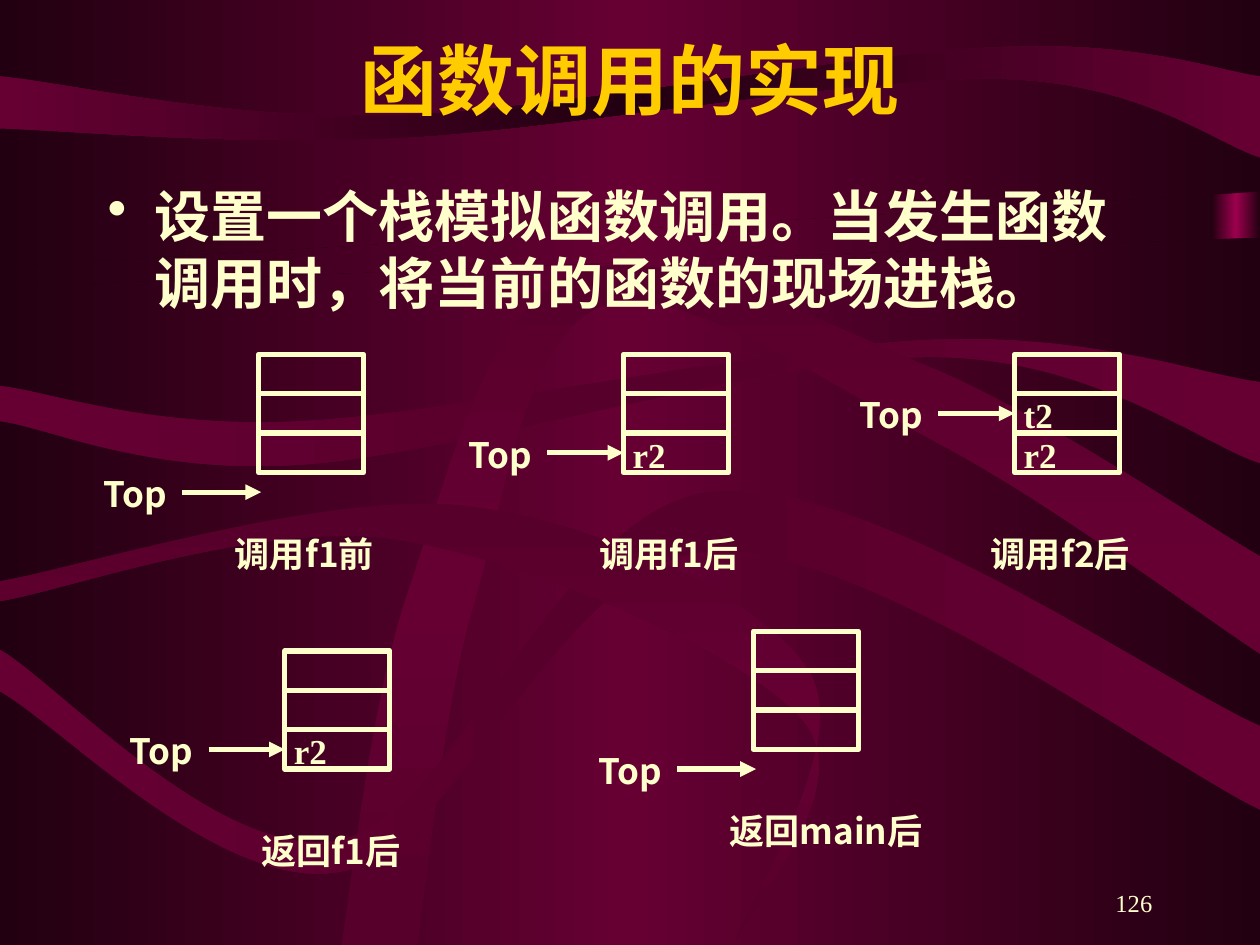
from copy import deepcopy

from lxml import etree
from pptx import Presentation
from pptx.dml.color import RGBColor
from pptx.enum.shapes import MSO_CONNECTOR, MSO_SHAPE
from pptx.enum.text import MSO_ANCHOR, PP_ALIGN
from pptx.oxml.ns import qn
from pptx.util import Pt

RECT, LINE = MSO_SHAPE.RECTANGLE, MSO_CONNECTOR.STRAIGHT
TOP, MID, LOW = MSO_ANCHOR.TOP, MSO_ANCHOR.MIDDLE, MSO_ANCHOR.BOTTOM
LEFT, MIDDLE, RIGHT = PP_ALIGN.LEFT, PP_ALIGN.CENTER, PP_ALIGN.RIGHT
PX = 9525  # 96 px to the inch
WIDE, HIGH = 960, 720

THEME = {
    "cream": "FFFFCC", "gold": "FFCC00",
    "dark": "220011", "wine": "660033", "plum": "56002B", "rose": "9C004E",
    "serif": "Times New Roman", "sans": "Noto Sans CJK SC",
    "title": 44, "body": 32, "label": 20, "page": 14, "rule": 3,
}

# Content
TITLE = "函数调用的实现"
BODY = "设置一个栈模拟函数调用。当发生函数调用时，将当前的函数的现场进栈。"
PAGE = "126"
# left, top, frames on the stack, caption, caption width
STACKS = [
    (197, 270, [], "调用f1前", 119),
    (475, 270, ["r2"], "调用f1后", 119),
    (773, 270, ["t2", "r2"], "调用f2后", 119),
    (217, 496, ["r2"], "返回f1后", 119),
    (574, 481, [], "返回main后", 157),
]
SLOTS, CELL_W, CELL_H, REACH = 3, 80, 30, 60
PAD = (10, 5, 10, 5)

# Panels with straight edges: left and right heights of the slanted edge, far edge
PANELS = [(203, 146, 0), (219, 181, HIGH)]
# Ribbons: edge colour, middle colour, angle, then stations across the band:
# (x, upper y, lower y) or (upper x, upper y, lower x, lower y)
RIBBONS = [
    ("wine", "dark", 0, [(0, 58, 98), (300, 88, 105), (760, 36, 60), (WIDE, 58, 120)]),
    ("wine", "plum", 0, [(0, 294, 321), (230, 321, 354), (710, 259, 272), (WIDE, 291, 353)]),
    ("plum", "wine", 90, [(260, HIGH, 318, HIGH), (311, 451, 361, 460), (436, 209, 460, 233),
                          (709, 280, 719, 340), (WIDE, 424, 498)]),
    ("wine", "plum", 0, [(0, 495, 527), (260, 640, 664), (541, 375, 420), (WIDE, 553, 617)]),
    ("plum", "wine", 90, [(0, 443, 458), (351, 385, 301, 411), (616, 511, 612, 549),
                          (560, HIGH, 560, HIGH)]),
]


def tint(name):
    return RGBColor.from_string(THEME[name])


def box(x, y, w, h):
    return [n * PX for n in (x, y, w, h)]


def blend(fill, root, edge, core, angle):
    """Three-stop gradient, the same colour at both ends."""
    fill.gradient()
    fill.gradient_angle = angle
    stops = root.xpath(".//a:gsLst")[0]
    stops.append(deepcopy(stops[0]))
    for stop, name, pos in zip(fill.gradient_stops, (edge, core, edge), (0, 0.5, 1)):
        stop.color.rgb = tint(name)
        stop.position = pos


def smooth(knots):
    """Curve pieces through the knots: two handles and an end each."""
    ring = [knots[0], *knots, knots[-1]]
    parts = []
    for a, b, c, d in zip(ring, ring[1:], ring[2:], ring[3:]):
        out = tuple(q + (r - p) / 6 for p, q, r in zip(a, b, c))
        back = tuple(r - (s - q) / 6 for q, r, s in zip(b, c, d))
        parts.append([out, back, c])
    return parts


def outline(shapes, start, parts, edge, core, angle):
    maker = shapes.build_freeform(*start, scale=PX)
    maker.add_line_segments([p for part in parts for p in part], close=True)
    shape = maker.convert_to_shape()
    track = shape._element.xpath(".//a:path")[0]
    steps = iter(list(track)[1:])
    for part in parts:
        group = [next(steps) for _ in part]
        if len(group) == 3:
            curve = etree.Element(qn("a:cubicBezTo"))
            track.replace(group[0], curve)
            for step in group:
                curve.append(step[0])
            for step in group[1:]:
                track.remove(step)
    shape.shadow.inherit = False
    shape.line.fill.background()
    blend(shape.fill, shape._element, edge, core, angle)


def ribbon(shapes, edge, core, angle, stations):
    upper = [s[:2] for s in stations]
    lower = [s[2:] if len(s) == 4 else (s[0], s[2]) for s in stations][::-1]
    parts = smooth(upper) + [[lower[0]]] + smooth(lower)
    outline(shapes, upper[0], parts, edge, core, angle)


def write(shape, text, size, face="serif", color="cream", bold=True,
          align=LEFT, anchor=TOP, pad=(0, 0, 0, 0)):
    frame = shape.text_frame
    frame.word_wrap = True
    frame.vertical_anchor = anchor
    (frame.margin_left, frame.margin_top,
     frame.margin_right, frame.margin_bottom) = [n * PX for n in pad]
    frame.text = text
    para = frame.paragraphs[0]
    para.alignment = align
    run = para.runs[0]
    run.font.name, run.font.size, run.font.bold = THEME[face], Pt(THEME[size]), bold
    run.font.color.rgb = tint(color)
    etree.SubElement(run._r.rPr, qn("a:ea")).set("typeface", THEME["sans"])
    return para


def bullet(para, indent):
    props = para._p.get_or_add_pPr()
    props.set("marL", str(indent * PX))
    props.set("indent", str(-indent * PX))
    etree.SubElement(props, qn("a:buChar")).set("char", "•")


def cell(shapes, x, y, text):
    shape = shapes.add_shape(RECT, *box(x, y, CELL_W, CELL_H))
    shape.shadow.inherit = False
    shape.fill.background()
    shape.line.color.rgb = tint("cream")
    shape.line.width = Pt(THEME["rule"])
    if text:
        write(shape, text, "label", pad=(7, 0, 0, 0))
    return shape


def arrow(shapes, x, y, goal):
    line = shapes.add_connector(LINE, x * PX, y * PX, (x + REACH) * PX, y * PX)
    if goal:
        line.end_connect(goal, 1)
    line.line.color.rgb = tint("cream")
    line.line.width = Pt(THEME["rule"])
    etree.SubElement(line.line._get_or_add_ln(), qn("a:tailEnd")).set("type", "triangle")
    etree.SubElement(line._element.spPr, qn("a:effectLst"))


def stack(shapes, x, y, held, caption, width):
    row = SLOTS - len(held)
    texts = [""] * row + held
    cells = [cell(shapes, x, y + i * CELL_H, t) for i, t in enumerate(texts)]
    level, start = y + row * CELL_H, x + 2 - REACH
    arrow(shapes, start, level + CELL_H // 2, cells[row] if held else None)
    for text, left, top, wide in (("Top", start - REACH, level, REACH),
                                  (caption, x - 18, y + 136, width)):
        note = shapes.add_textbox(*box(left, top, wide, CELL_H))
        write(note, text, "label", "sans")


def main():
    deck = Presentation()
    deck.slide_width, deck.slide_height = WIDE * PX, HIGH * PX
    slide = deck.slides.add_slide(deck.slide_layouts[5])
    shapes, title = slide.shapes, slide.shapes.title

    # Backdrop
    blend(slide.background.fill, slide._element, "dark", "wine", 0)
    bar = shapes.add_shape(RECT, *box(923, 47, 37, 331))
    bar.shadow.inherit = False
    bar.line.fill.background()
    blend(bar.fill, bar._element, "dark", "rose", 0)
    for left, right, far in PANELS:
        corners = [[(WIDE, right)], [(WIDE, far)], [(0, far)]]
        outline(shapes, (0, left), corners, "dark", "wine", 0)
    for band in RIBBONS:
        ribbon(shapes, *band)

    # Title in front of the backdrop, then body text
    shapes._spTree.append(title._element)
    title.left, title.top, title.width, title.height = box(72, 0, 816, 120)
    write(title, TITLE, "title", color="gold", align=MIDDLE, anchor=MID, pad=PAD)
    body = shapes.add_textbox(*box(72, 133, 816, 136))
    bullet(write(body, BODY, "body", pad=PAD), 36)

    # Call stacks
    for item in STACKS:
        stack(shapes, *item)

    # Page number
    page = shapes.add_textbox(*box(688, 656, 200, 48))
    write(page, PAGE, "page", bold=False, align=RIGHT, anchor=LOW, pad=PAD)
    deck.save("out.pptx")


if __name__ == "__main__":
    main()
